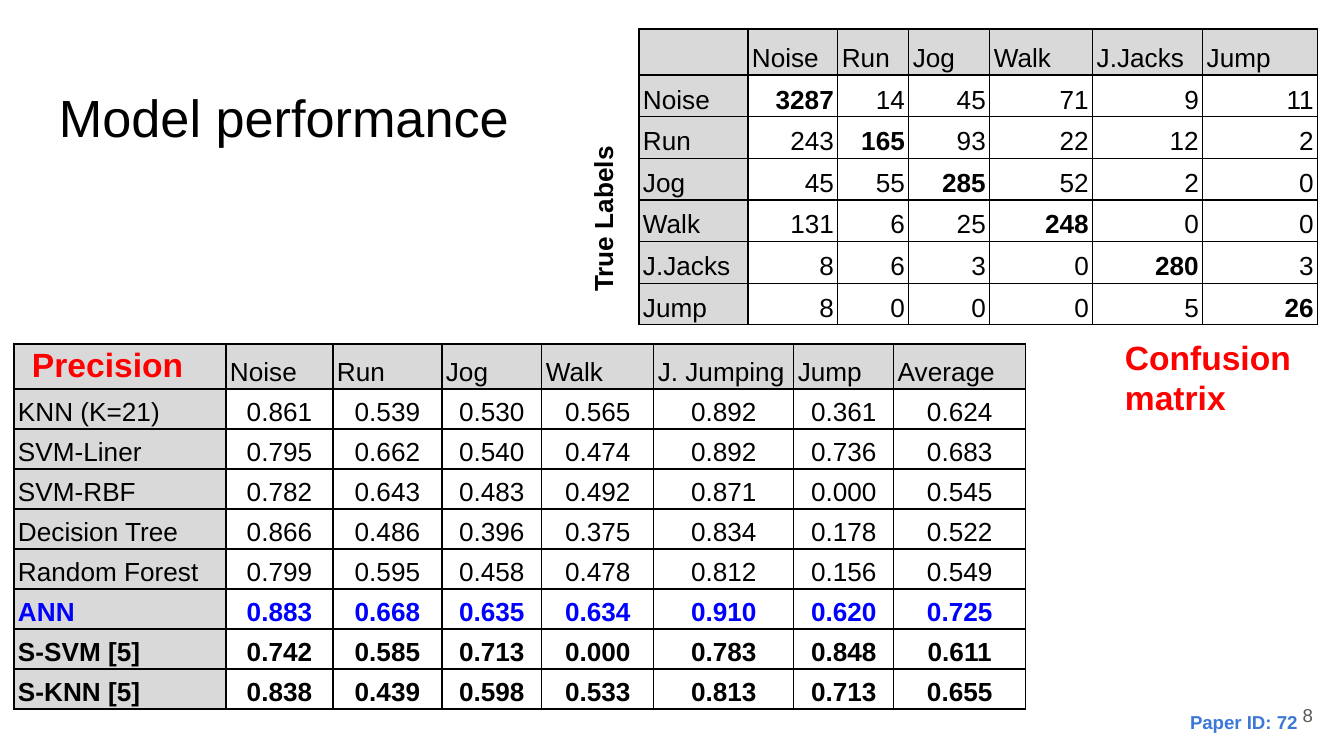
from dataclasses import dataclass

from lxml.etree import SubElement
from pptx import Presentation
from pptx.dml.color import RGBColor
from pptx.enum.text import MSO_ANCHOR, PP_ALIGN
from pptx.oxml.ns import qn
from pptx.util import Emu, Pt


@dataclass(frozen=True)
class Theme:
    font: str = "Arial"
    black: str = "000000"
    header: str = "D9D9D9"
    accent: str = "FF0000"
    best: str = "0000FF"
    paper: str = "3C78D8"
    muted: str = "595959"
    title: int = 28
    label: int = 18
    body: int = 14
    small: int = 10
    border: float = 0.75
    spacing: float = 1.15


T = Theme()
SLIDE_W, SLIDE_H = 1344, 756
INSET = 13
CELL_X, CELL_Y = 4, 2

# Content: tables
PRECISION = [
    ["", "Noise", "Run", "Jog", "Walk", "J. Jumping", "Jump", "Average"],
    ["KNN (K=21)", "0.861", "0.539", "0.530", "0.565", "0.892", "0.361", "0.624"],
    ["SVM-Liner", "0.795", "0.662", "0.540", "0.474", "0.892", "0.736", "0.683"],
    ["SVM-RBF", "0.782", "0.643", "0.483", "0.492", "0.871", "0.000", "0.545"],
    ["Decision Tree", "0.866", "0.486", "0.396", "0.375", "0.834", "0.178", "0.522"],
    ["Random Forest", "0.799", "0.595", "0.458", "0.478", "0.812", "0.156", "0.549"],
    ["ANN", "0.883", "0.668", "0.635", "0.634", "0.910", "0.620", "0.725"],
    ["S-SVM [5]", "0.742", "0.585", "0.713", "0.000", "0.783", "0.848", "0.611"],
    ["S-KNN [5]", "0.838", "0.439", "0.598", "0.533", "0.813", "0.713", "0.655"],
]
BEST_ROW = 6  # this row is blue; it and the rows below are bold

CONFUSION = [
    ["", "Noise", "Run", "Jog", "Walk", "J.Jacks", "Jump"],
    ["Noise", "3287", "14", "45", "71", "9", "11"],
    ["Run", "243", "165", "93", "22", "12", "2"],
    ["Jog", "45", "55", "285", "52", "2", "0"],
    ["Walk", "131", "6", "25", "248", "0", "0"],
    ["J.Jacks", "8", "6", "3", "0", "280", "3"],
    ["Jump", "8", "0", "0", "0", "5", "26"],
]

# Content: text, box (left, top, width, height), size, colour, bold, rotation
TITLE = ("Model performance", (46, 72, 554, 85), T.title, T.black, False, 0)
LABELS = [
    ("Paper ID: 72", (1177, 700, 161, 50), T.small, T.paper, True, 0),
    ("Precision", (19, 331, 292, 67), T.label, T.accent, True, 0),
    ("Confusion matrix", (1112, 324, 292, 109), T.label, T.accent, True, 0),
    ("True Labels", (504, 176, 199, 59), T.body, T.black, True, 270),
]
PAGE_NUMBER = ("8", (1246, 686, 80, 58), T.small, T.muted, False, 0)


def px(n):
    return Emu(round(n * 9144000 / SLIDE_W))


def style(p, size, color, bold, align):
    p.alignment = align
    p.font.name = T.font
    p.font.size = Pt(size)
    p.font.bold = bold
    p.font.color.rgb = RGBColor.from_string(color)


def add_label(s, label, align=PP_ALIGN.LEFT, anchor=MSO_ANCHOR.TOP):
    text, box, size, color, bold, rotation = label
    sp = s.shapes.add_textbox(*map(px, box))
    sp.rotation = rotation
    tf = sp.text_frame
    tf.word_wrap = True
    tf.vertical_anchor = anchor
    tf.margin_left = tf.margin_right = tf.margin_top = tf.margin_bottom = px(INSET)
    p = tf.paragraphs[0]
    p.text = text
    style(p, size, color, bold, align)


def add_borders(cell):
    tc_pr = cell._tc.get_or_add_tcPr()
    for side in ("lnL", "lnR", "lnT", "lnB"):
        ln = SubElement(tc_pr, qn(f"a:{side}"), w=str(Pt(T.border)))
        fill = SubElement(ln, qn("a:solidFill"))
        SubElement(fill, qn("a:srgbClr"), val=T.black)


def add_grid(s, rows, left, top, widths, header_h, body_h, align, emphasis):
    """Draw rows; emphasis(i, j) gives the colour and weight of a cell."""
    row_h = body_h / (len(rows) - 1)
    table = s.shapes.add_table(len(rows), len(widths), px(left), px(top),
                               px(sum(widths)), px(header_h + body_h)).table
    table.first_row = table.horz_banding = False
    for column, width in zip(table.columns, widths):
        column.width = px(width)
    for i, row in enumerate(rows):
        table.rows[i].height = px(row_h if i else header_h)
        for j, text in enumerate(row):
            cell = table.cell(i, j)
            cell.vertical_anchor = MSO_ANCHOR.BOTTOM
            cell.margin_left = cell.margin_right = px(CELL_X)
            cell.margin_top = cell.margin_bottom = px(CELL_Y)
            add_borders(cell)
            is_header = i == 0 or j == 0
            if is_header:
                cell.fill.solid()
                cell.fill.fore_color.rgb = RGBColor.from_string(T.header)
            else:
                cell.fill.background()
            p = cell.text_frame.paragraphs[0]
            if text:
                p.text = text
            p.line_spacing = T.spacing
            color, bold = emphasis(i, j)
            style(p, T.body, color, bold, PP_ALIGN.LEFT if is_header else align)


def precision_emphasis(i, j):
    return (T.best if i == BEST_ROW else T.black), i >= BEST_ROW


def diagonal_emphasis(i, j):
    return T.black, i == j


def main():
    prs = Presentation()
    prs.slide_width, prs.slide_height = px(SLIDE_W), px(SLIDE_H)
    s = prs.slides.add_slide(prs.slide_layouts[6])

    # Title and tables
    add_label(s, TITLE)
    add_grid(s, PRECISION, 14, 344, [212, 107, 109, 100, 112, 140, 100, 132],
             45, 315, PP_ALIGN.CENTER, precision_emphasis)
    add_grid(s, CONFUSION, 639, 29, [109, 90, 71, 81, 103, 110, 115],
             46, 250, PP_ALIGN.RIGHT, diagonal_emphasis)

    # Labels and page number
    for label in LABELS:
        add_label(s, label)
    add_label(s, PAGE_NUMBER, PP_ALIGN.RIGHT, MSO_ANCHOR.MIDDLE)

    prs.save("out.pptx")


if __name__ == "__main__":
    main()
